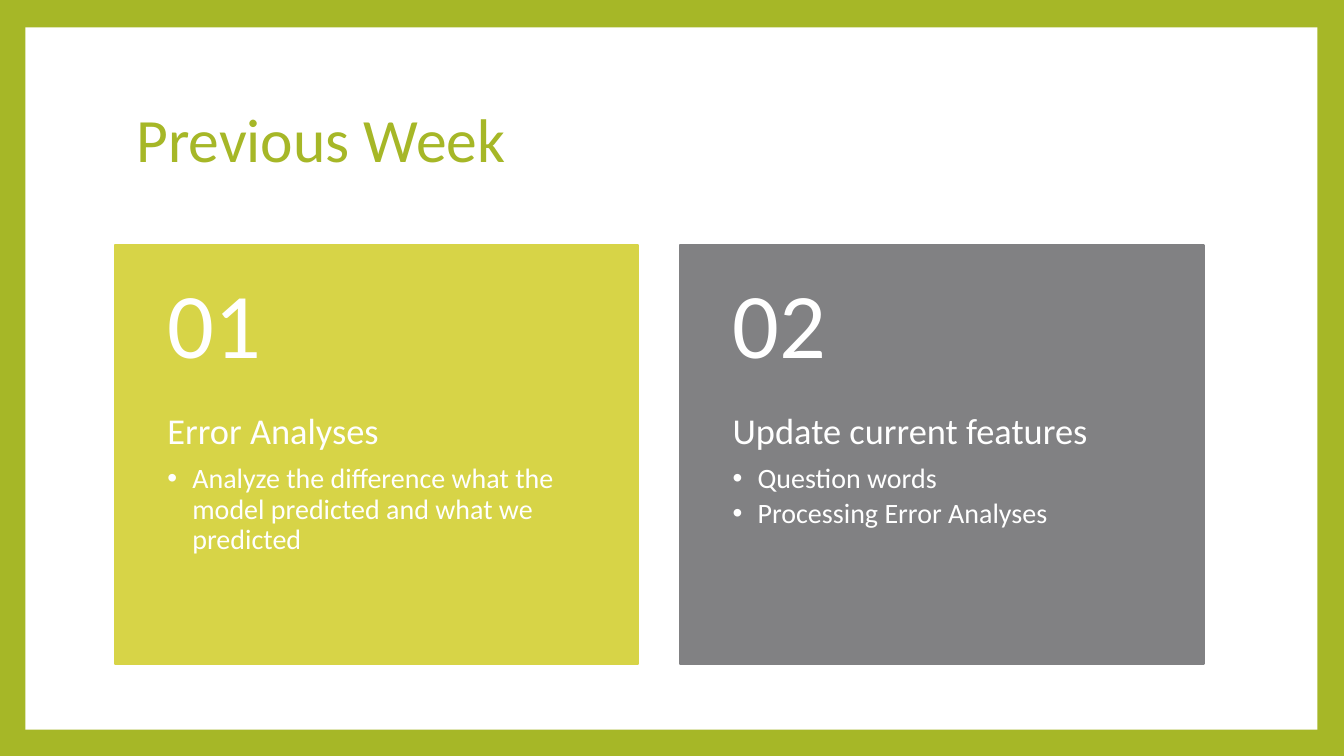
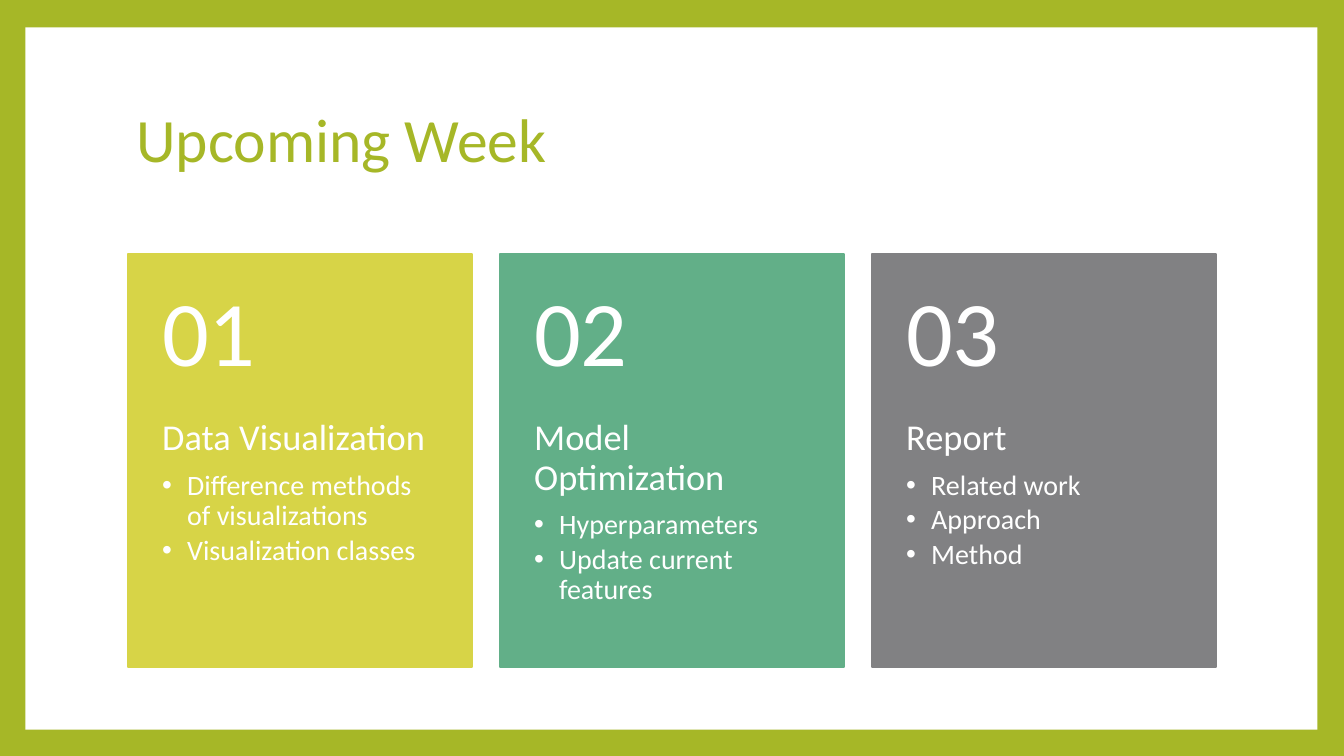
from dataclasses import dataclass

from lxml import etree
from pptx import Presentation
from pptx import util as u
from pptx.dml.color import RGBColor
from pptx.enum import shapes, text
from pptx.oxml import ns


@dataclass(frozen=True)
class Theme:
    font: str = "Calibri"
    accent: RGBColor = RGBColor.from_string("A6B727")
    white: RGBColor = RGBColor.from_string("FFFFFF")
    lime: RGBColor = RGBColor.from_string("D7D447")
    green: RGBColor = RGBColor.from_string("62AF88")
    gray: RGBColor = RGBColor.from_string("818183")
    title_size: int = 44
    number_size: int = 66
    heading_size: int = 26
    bullet_size: int = 20
    line_spacing: float = 0.9


@dataclass(frozen=True)
class Box:
    left: float
    top: float
    width: float
    height: float

    def place(self):
        return [u.Cm(length) for length in (self.left, self.top, self.width, self.height)]


THEME = Theme()
PANEL = Box(0.64, 0.69, 32.56, 17.7)
TITLE = Box(3.18, 1.7, 27.43, 3.76)
GAP_SHARE = 0.08
INSET_SHARE = 0.1
NUMBER_SHARE = 0.4
INSET_Y = 0.46
BULLET_INDENT = 0.63


def add_rectangle(parent, box, color):
    rectangle = parent.add_shape(shapes.MSO_SHAPE.RECTANGLE, *box.place())
    rectangle.shadow.inherit = False
    rectangle.fill.solid()
    rectangle.fill.fore_color.rgb = color
    rectangle.line.color.rgb = color
    rectangle.line.width = u.Pt(1.5)
    return rectangle


def write(para, words, size, color, space_after=0):
    para.alignment = text.PP_ALIGN.LEFT
    para.line_spacing = THEME.line_spacing
    para.space_after = u.Pt(space_after)
    span = para.add_run()
    span.text = words
    span.font.name = THEME.font
    span.font.size = u.Pt(size)
    span.font.color.rgb = color


def add_bullet(para):
    properties = para._p.get_or_add_pPr()
    properties.set("marL", str(u.Cm(BULLET_INDENT)))
    properties.set("indent", str(-u.Cm(BULLET_INDENT)))
    etree.SubElement(properties, ns.qn("a:buFont")).set("typeface", "Arial")
    etree.SubElement(properties, ns.qn("a:buChar")).set("char", "•")


def add_text_frame(parent, box, inset_x, inset_top, inset_bottom, anchor):
    frame = parent.add_textbox(*box.place()).text_frame
    frame.word_wrap = True
    frame.vertical_anchor = anchor
    frame.margin_left = frame.margin_right = u.Cm(inset_x)
    frame.margin_top = u.Cm(inset_top)
    frame.margin_bottom = u.Cm(inset_bottom)
    return frame


def add_card(page, box, number, color, heading, bullets):
    card = page.shapes.add_group_shape().shapes
    add_rectangle(card, box, color)
    inset = box.width * INSET_SHARE
    number_height = box.height * NUMBER_SHARE
    number_box = Box(box.left, box.top, box.width, number_height)
    body_box = Box(box.left, box.top + number_height, box.width, box.height - number_height)

    body = add_text_frame(card, body_box, inset, 0, 2 * INSET_Y, text.MSO_ANCHOR.TOP)
    write(body.paragraphs[0], heading, THEME.heading_size, THEME.white, 9)
    for bullet in bullets:
        para = body.add_paragraph()
        write(para, bullet, THEME.bullet_size, THEME.white, 3)
        add_bullet(para)

    frame = add_text_frame(card, number_box, inset, INSET_Y, INSET_Y, text.MSO_ANCHOR.MIDDLE)
    write(frame.paragraphs[0], f"{number:02d}", THEME.number_size, THEME.white)


def add_card_row(page, box, cards):
    width = box.width / (len(cards) + GAP_SHARE * (len(cards) - 1))
    pitch = width * (1 + GAP_SHARE)
    for index, card in enumerate(cards):
        card_box = Box(box.left + index * pitch, box.top, width, box.height)
        add_card(page, card_box, index + 1, *card)


def add_title(page, box, words):
    title = page.shapes.title
    title.left, title.top, title.width, title.height = box.place()
    frame = title.text_frame
    frame.word_wrap = True
    frame.vertical_anchor = text.MSO_ANCHOR.MIDDLE
    write(frame.paragraphs[0], words, THEME.title_size, THEME.accent)


def add_week_page(deck, title, row_box, cards):
    page = deck.slides.add_slide(deck.slide_layouts[5])
    panel = add_rectangle(page.shapes, PANEL, THEME.white)
    panel.line.fill.background()
    page.shapes.element.insert(2, panel.element)
    add_title(page, TITLE, title)
    add_card_row(page, row_box, cards)


def main():
    deck = Presentation()
    deck.slide_width, deck.slide_height = u.Cm(33.87), u.Cm(19.05)
    background = deck.slide_master.background.fill
    background.solid()
    background.fore_color.rgb = THEME.accent

    add_week_page(deck, "Previous Week", Box(2.9, 6.18, 27.43, 10.55), [
        (THEME.lime, "Error Analyses",
         ["Analyze the difference what the model predicted and what we predicted"]),
        (THEME.gray, "Update current features",
         ["Question words", "Processing Error Analyses"]),
    ])
    add_week_page(deck, "Upcoming Week", Box(3.22, 6.4, 27.43, 10.42), [
        (THEME.lime, "Data Visualization",
         ["Difference methods of visualizations", "Visualization classes"]),
        (THEME.green, "Model Optimization",
         ["Hyperparameters", "Update current features"]),
        (THEME.gray, "Report",
         ["Related work", "Approach", "Method"]),
    ])
    deck.save("out.pptx")


if __name__ == "__main__":
    main()
